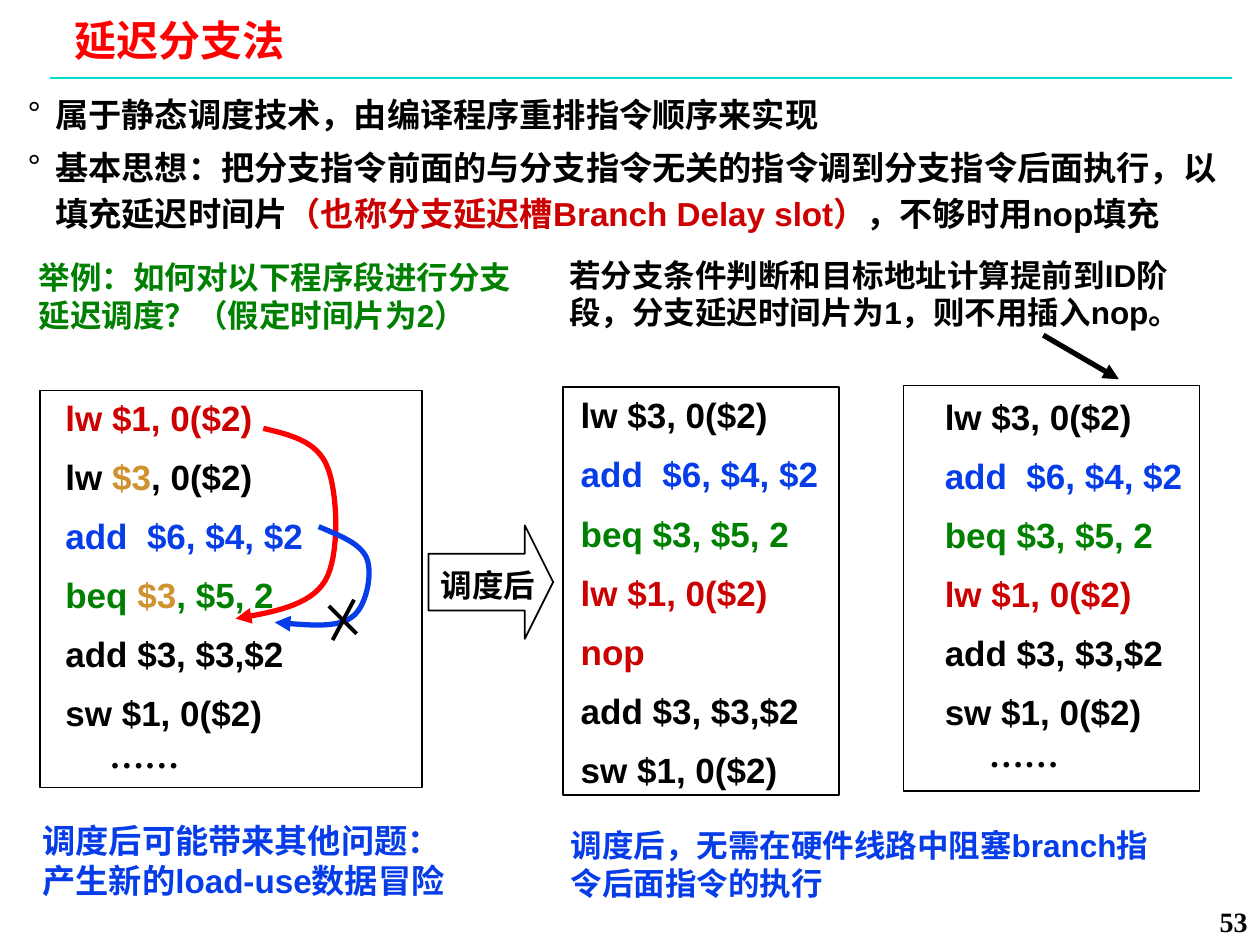
"""Build the slide on delayed branching and the scheduling of its delay slots."""
from dataclasses import dataclass
from typing import Any, NamedTuple, Optional

import lxml.etree
import pptx
import pptx.dml.color
import pptx.enum.shapes
import pptx.enum.text
import pptx.oxml.ns
import pptx.util

COLUMNS, ROWS = 100, 75
CURVE_STEPS = 16
UNITS_PER_INCH = 914400


@dataclass(frozen=True)
class Theme:
    """Colours, fonts and type sizes of the slide."""
    black: str = "000000"
    title: str = "FF0000"
    red: str = "CC0000"
    green: str = "008000"
    blue: str = "063DE8"
    gold: str = "CF922F"
    rule: str = "00DFCA"
    sans: str = "Arial"
    serif: str = "Times New Roman"
    chinese: str = "Noto Sans CJK SC"
    title_size: int = 24
    code_size: int = 20
    body_size: int = 19
    note_size: int = 18
    number_size: int = 16


class Place(NamedTuple):
    """A box in grid columns and rows."""
    left: float
    top: float
    width: float
    height: float


class Piece(NamedTuple):
    """A stretch of text in one colour."""
    text: str
    color: str = "000000"


@dataclass(frozen=True)
class Style:
    """Type and paragraph settings of a text."""
    size: int
    font: str = "Arial"
    east_asian: str = "Noto Sans CJK SC"
    line_spacing: float = 1.0
    space_before: float = 0
    bullet: Optional[str] = None
    right: bool = False


class Listing(NamedTuple):
    """A framed program listing."""
    text: Place
    frame: Place
    lines: list
    continued: bool


class Stroke(NamedTuple):
    """A straight line between two grid points."""
    start: tuple
    end: tuple
    color: str
    weight: float
    arrow: bool = False


THEME = Theme()
Line = list[Piece]


def across(columns: float) -> int:
    """Convert grid columns to slide units."""
    return round(presentation.slide_width * columns / COLUMNS)


def down(rows: float) -> int:
    """Convert grid rows to slide units."""
    return round(presentation.slide_height * rows / ROWS)


def box(place: Place) -> tuple[int, int, int, int]:
    """Convert a grid box to slide units."""
    return across(place.left), down(place.top), across(place.width), down(place.height)


def rgb(color: str) -> pptx.dml.color.RGBColor:
    """Return a colour object for a hexadecimal value."""
    return pptx.dml.color.RGBColor.from_string(color)


def child(parent: Any, tag: str, **attributes: str) -> Any:
    """Append a drawing element with its attributes."""
    return lxml.etree.SubElement(parent, pptx.oxml.ns.qn(tag), attributes)


def write_paragraph(paragraph: Any, line: Line, style: Style, first: bool) -> None:
    """Fill one paragraph with its coloured pieces."""
    paragraph.alignment = getattr(pptx.enum.text.PP_ALIGN, "RIGHT" if style.right else "LEFT")
    paragraph.line_spacing = style.line_spacing
    paragraph.space_before = pptx.util.Pt(0 if first else style.space_before)
    if style.bullet:
        properties = paragraph._p.get_or_add_pPr()
        indent = across(2.2)
        properties.set("marL", str(indent))
        properties.set("indent", str(-indent))
        child(properties, "a:buChar", char=style.bullet)
    for piece in line:
        run = paragraph.add_run()
        run.text = piece.text
        run.font.name, run.font.size, run.font.bold = style.font, pptx.util.Pt(style.size), True
        run.font.color.rgb = rgb(piece.color)
        child(run._r.get_or_add_rPr(), "a:ea", typeface=style.east_asian)


def write_text(shape: Any, lines: list[Line], style: Style) -> None:
    """Fill a shape with paragraphs from its top edge."""
    frame = shape.text_frame
    frame.word_wrap = True
    frame.auto_size = pptx.enum.text.MSO_AUTO_SIZE.NONE
    frame.vertical_anchor = pptx.enum.text.MSO_ANCHOR.TOP
    for index, line in enumerate(lines):
        paragraph = frame.add_paragraph() if index else frame.paragraphs[0]
        write_paragraph(paragraph, line, style, index == 0)


def fill_placeholder(shape: Any, place: Place, lines: list[Line], style: Style) -> None:
    """Move a placeholder and fill it."""
    shape.left, shape.top, shape.width, shape.height = box(place)
    frame = shape.text_frame
    frame.margin_left = frame.margin_right = across(0.7)
    frame.margin_top = frame.margin_bottom = down(0.3)
    write_text(shape, lines, style)


def add_text(place: Place, lines: list[Line], style: Style) -> Any:
    """Add a text box."""
    shape = slide.shapes.add_textbox(*box(place))
    write_text(shape, lines, style)
    return shape


def add_outline(kind: Any, place: Place) -> Any:
    """Add an unfilled preset shape with a thin black outline."""
    shape = slide.shapes.add_shape(kind, *box(place))
    shape.shadow.inherit = False
    shape.fill.background()
    shape.line.color.rgb = rgb(THEME.black)
    shape.line.width = pptx.util.Pt(1)
    return shape


def add_listing(listing: Listing) -> None:
    """Add a program listing and its frame."""
    style = Style(THEME.code_size, line_spacing=1.2, space_before=5)
    shape = add_text(listing.text, listing.lines, style)
    if listing.continued:
        paragraph = shape.text_frame.add_paragraph()
        paragraph._p.get_or_add_pPr().set("marL", str(across(3.5)))
        ellipsis = Style(THEME.code_size, THEME.serif, THEME.serif)
        write_paragraph(paragraph, [Piece("……")], ellipsis, False)
    add_outline(pptx.enum.shapes.MSO_SHAPE.RECTANGLE, listing.frame)


def format_line(line: Any, color: str, weight: float, arrow: bool) -> None:
    """Set colour, weight and arrowhead of a line."""
    line.color.rgb = rgb(color)
    line.width = pptx.util.Pt(weight)
    if arrow:
        child(line._get_or_add_ln(), "a:tailEnd", type="triangle")


def add_stroke(stroke: Stroke) -> None:
    """Add a straight connector."""
    (x1, y1), (x2, y2) = stroke.start, stroke.end
    connector = slide.shapes.add_connector(
        pptx.enum.shapes.MSO_CONNECTOR.STRAIGHT, across(x1), down(y1), across(x2), down(y2))
    format_line(connector.line, stroke.color, stroke.weight, stroke.arrow)
    child(connector._element.spPr, "a:effectLst")


def add_curve(points: list[tuple[float, float]], color: str) -> None:
    """Add an arrow along joined cubic curves."""
    vertices = []
    for first in range(0, len(points) - 1, 3):
        for step in range(1, CURVE_STEPS + 1):
            t = step / CURVE_STEPS
            weights = ((1 - t) ** 3, 3 * t * (1 - t) ** 2, 3 * t * t * (1 - t), t ** 3)
            x, y = (sum(w * point[axis] for w, point in zip(weights, points[first:first + 4]))
                    for axis in (0, 1))
            vertices.append((across(x), down(y)))
    builder = slide.shapes.build_freeform(across(points[0][0]), down(points[0][1]))
    builder.add_line_segments(vertices, close=False)
    curve = builder.convert_to_shape()
    curve.shadow.inherit = False
    curve.fill.background()
    format_line(curve.line, color, 3, True)


presentation = pptx.Presentation()
presentation.slide_width, presentation.slide_height = 10 * UNITS_PER_INCH, 75 * UNITS_PER_INCH // 10
slide = presentation.slides.add_slide(presentation.slide_layouts[1])

add_stroke(Stroke((4, 6.2), (97.8, 6.2), THEME.rule, 1))
fill_placeholder(slide.shapes.title, Place(5.2, 1.4, 19.7, 4.2), [[Piece("延迟分支法", THEME.title)]],
                 Style(THEME.title_size, THEME.chinese, line_spacing=0.87))
fill_placeholder(slide.placeholders[1], Place(1.5, 6.7, 96.5, 12.1), [
    [Piece("属于静态调度技术，由编译程序重排指令顺序来实现")],
    [Piece("基本思想：把分支指令前面的与分支指令无关的指令调到分支指令后面执行，以填充延迟时间片"),
     Piece("（也称分支延迟槽Branch Delay slot）", THEME.red), Piece("，不够时用nop填充")],
], Style(THEME.body_size, line_spacing=1.15, space_before=4, bullet="°"))

note, body = Style(THEME.note_size), Style(THEME.body_size)
for place, piece, style in (
    (Place(2.1, 20, 40.2, 7), Piece("举例：如何对以下程序段进行分支延迟调度？（假定时间片为2）", THEME.green), note),
    (Place(44.2, 19.8, 50.9, 7.1),
     Piece("若分支条件判断和目标地址计算提前到ID阶段，分支延迟时间片为1，则不用插入nop。"), note),
    (Place(2.4, 64.6, 35.2, 7.3),
     Piece("调度后可能带来其他问题：产生新的load-use数据冒险", THEME.blue), body),
    (Place(44.3, 65.1, 49.5, 7),
     Piece("调度后，无需在硬件线路中阻塞branch指令后面指令的执行", THEME.blue), note),
    (Place(88.3, 71.3, 11.7, 3.7), Piece("53"), Style(THEME.number_size, THEME.serif, right=True)),
):
    add_text(place, [[piece]], style)

load_first = [Piece("lw $1, 0($2)", THEME.red)]
add_six = [Piece("add  $6, $4, $2", THEME.blue)]
tail = [[Piece("add $3, $3,$2")], [Piece("sw $1, 0($2)")]]
scheduled = [[Piece("lw $3, 0($2)")], add_six, [Piece("beq $3, $5, 2", THEME.green)], load_first]
unscheduled = [
    load_first, [Piece("lw "), Piece("$3", THEME.gold), Piece(", 0($2)")], add_six,
    [Piece("beq ", THEME.green), Piece("$3", THEME.gold), Piece(", $5, 2", THEME.green)]]
for listing in (
    Listing(Place(4.2, 30.3, 21.8, 36.6), Place(3.2, 31, 30.3, 31.5), unscheduled + tail, True),
    Listing(Place(45.1, 30.1, 23.2, 32.9), Place(44.7, 30.7, 21.9, 32.4),
            scheduled + [[Piece("nop", THEME.red)]] + tail, False),
    Listing(Place(74, 30.2, 26, 36.6), Place(71.7, 30.6, 23.5, 32.2), scheduled + tail, True),
):
    add_listing(listing)

add_curve([(20.9, 34), (23, 34.5), (25.2, 35), (26, 37.1), (26.8, 39.1), (27, 44.1), (25.8, 46.1),
           (24.6, 48.1), (21.6, 48.6), (18.7, 49.1)], THEME.title)
add_curve([(25.3, 41.8), (26.9, 42.5), (28.6, 43.1), (29.1, 44.3), (29.6, 45.5), (29.1, 48.2),
           (27.9, 49), (26.7, 49.9), (24.3, 49.6), (21.8, 49.4)], THEME.blue)
for stroke in (
    Stroke((28.1, 47.6), (26.4, 50.8), THEME.black, 2.25),
    Stroke((26.1, 48.1), (28.3, 50.3), THEME.black, 2.25),
    Stroke((82.8, 26.6), (88.8, 30.1), THEME.black, 3, True),
):
    add_stroke(stroke)

step_arrow = add_outline(pptx.enum.shapes.MSO_SHAPE.RIGHT_ARROW, Place(34, 41.7, 9.9, 9))
step_arrow.adjustments[0], step_arrow.adjustments[1] = 0.5, 0.25
add_text(Place(34, 44.4, 11, 4), [[Piece("调度后")]], Style(THEME.note_size, THEME.serif))

presentation.save("out.pptx")
